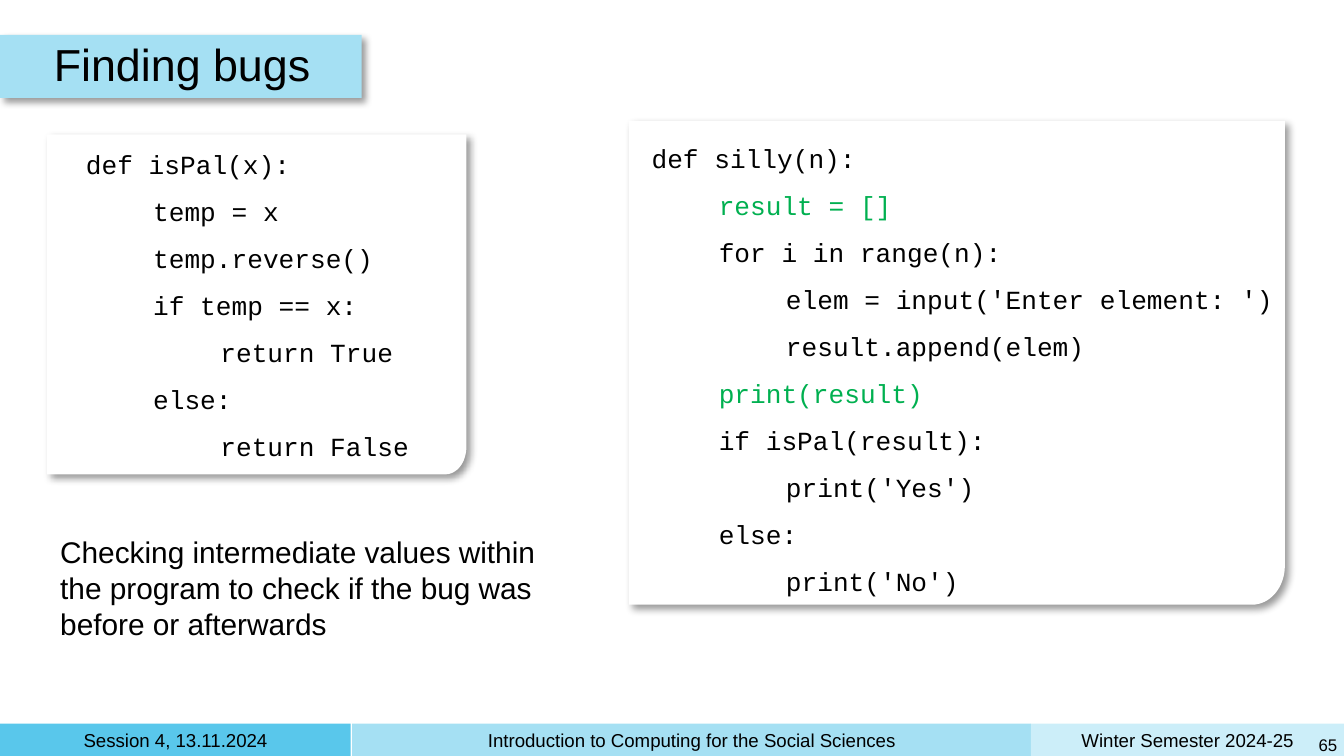
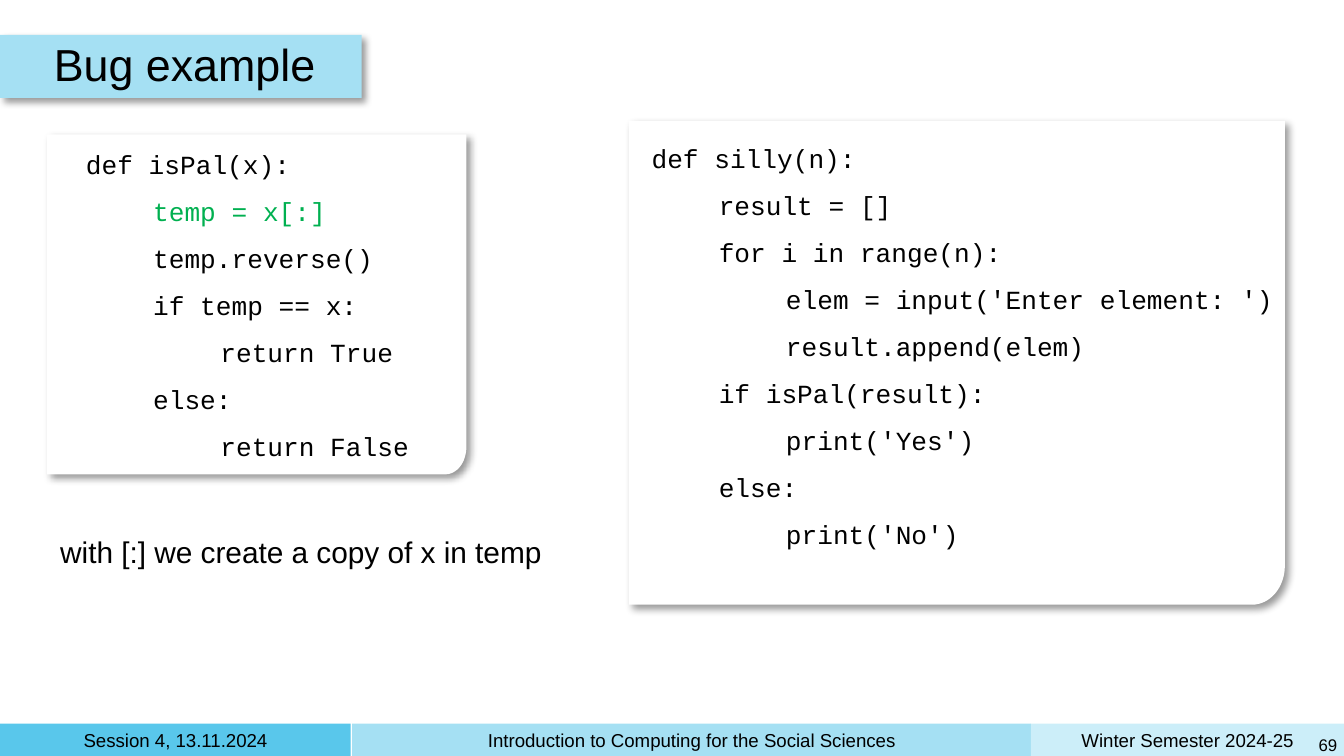
from dataclasses import dataclass
from math import cos, pi, sin
from typing import Any, NamedTuple

from lxml import etree
from pptx import Presentation
from pptx import util as u
from pptx.dml.color import RGBColor
from pptx.enum import shapes, text
from pptx.oxml import ns

COLS, ROWS = 100, 56.25
CELL = u.Inches(0.1)
HUES = {
    "ink": "000000",
    "paper": "FFFFFF",
    "mark": "00B050",
    "deep": "59C7EB",
    "mid": "A5E0F3",
    "pale": "CCEEF9",
}
SANS, MONO = "Arial", "Courier New"
ALIGN, ANCHOR, FIT = text.PP_ALIGN, text.MSO_ANCHOR, text.MSO_AUTO_SIZE


class Box(NamedTuple):
    left: float
    top: float
    width: float
    height: float

    def emu(self) -> list[int]:
        return [grid(side) for side in self]


@dataclass
class Style:
    size: float
    font: str = SANS
    align: Any = ALIGN.LEFT
    anchor: Any = ANCHOR.MIDDLE
    inset: float = 0.5
    pitch: float = 1.0
    fit: Any = FIT.NONE


@dataclass
class Line:
    words: str
    level: int = 0
    hue: str = "ink"


@dataclass
class Panel:
    card: Box
    left: float
    top: float
    width: float
    inset: float


@dataclass
class Page:
    title: str
    codes: tuple[str, str]
    marks: set[str]
    note: str
    rows: int
    number: int


FOOT = [
    ("Session 4, 13.11.2024", 0, 26.1, "deep"),
    ("Introduction to Computing for the Social Sciences", 26.2, 50.5, "mid"),
    ("Winter Semester 2024-25", 76.7, 23.3, "pale"),
]
PANELS = [
    Panel(Box(3.5, 10, 31.2, 25.3), 5.9, 9.4, 31.4, 0.5),
    Panel(Box(46.8, 9, 48.8, 36), 47.5, 8.4, 51, 1),
]
HEAD = Style(24, pitch=0.9)
BAR = Style(10, align=ALIGN.CENTER)
NUM = Style(9, align=ALIGN.RIGHT)
NOTE = Style(16, anchor=ANCHOR.TOP, inset=1, fit=FIT.SHAPE_TO_FIT_TEXT)

PAL = """def isPal(x):
    temp = {}
    temp.reverse()
    if temp == x:
        return True
    else:
        return False"""
SILLY = """def silly(n):
    result = []
    for i in range(n):
        elem = input('Enter element: ')
        result.append(elem){}
    if isPal(result):
        print('Yes')
    else:
        print('No')"""
PAGES = [
    Page(
        "Finding bugs",
        (PAL.format("x"), SILLY.format("\n    print(result)")),
        {"result = []", "print(result)"},
        "Checking intermediate values within the program to check if the bug "
        "was before or afterwards",
        3,
        65,
    ),
    Page(
        "Bug example",
        (PAL.format("x[:]"), SILLY.format("")),
        {"temp = x[:]"},
        "with [:] we create a copy of x in temp",
        1,
        69,
    ),
]


def grid(cells: float) -> int:
    return round(cells * CELL)


def tint(name: str) -> RGBColor:
    return RGBColor.from_string(HUES[name])


def apply(target: Any, values: dict[str, Any]) -> None:
    for name, value in values.items():
        setattr(target, name, value)


def write(shape: Any, lines: list[Line], style: Style) -> None:
    frame = shape.text_frame
    sides = ("left", "top", "right", "bottom")
    apply(frame, {f"margin_{side}": grid(style.inset) for side in sides})
    apply(frame, {
        "word_wrap": True,
        "auto_size": style.fit,
        "vertical_anchor": style.anchor,
    })
    for i, line in enumerate(lines):
        para = frame.add_paragraph() if i else frame.paragraphs[0]
        if line.level:
            para._p.get_or_add_pPr().set("marL", str(grid(5 * line.level)))
        apply(para, {"alignment": style.align, "line_spacing": style.pitch})
        run = para.add_run()
        run.text = line.words
        apply(run.font, {"name": style.font, "size": u.Pt(style.size)})
        run.font.color.rgb = tint(line.hue)


def label(slide: Any, box: Box, lines: list[Line], style: Style) -> None:
    write(slide.shapes.add_textbox(*box.emu()), lines, style)


def paint(shape: Any, hue: str) -> None:
    shape.fill.solid()
    shape.fill.fore_color.rgb = tint(hue)
    shape.line.fill.background()
    shape.shadow.inherit = False


def block(slide: Any, box: Box, hue: str) -> Any:
    shape = slide.shapes.add_shape(shapes.MSO_SHAPE.RECTANGLE, *box.emu())
    paint(shape, hue)
    return shape


def shade(shape: Any) -> None:
    effect = shape._element.spPr.find(ns.qn("a:effectLst"))
    cast = etree.SubElement(
        effect, ns.qn("a:outerShdw"), blurRad=str(u.Pt(4)), dist=str(u.Pt(3)),
        dir="2700000", algn="tl", rotWithShape="0",
    )
    color = etree.SubElement(cast, ns.qn("a:srgbClr"), val=HUES["ink"])
    etree.SubElement(color, ns.qn("a:alpha"), val="40000")


def card(slide: Any, box: Box) -> None:
    left, top, width, height = box.emu()
    right, base = left + width, top + height
    horiz, vert = 0.05 * width, 0.08 * height
    steps = 16
    turns = [pi / 2 * i / steps for i in range(steps + 1)]
    curve = [
        (right - horiz * (1 - cos(turn)), base - vert * (1 - sin(turn)))
        for turn in turns
    ]
    form = slide.shapes.build_freeform(left, top, scale=1.0)
    form.add_line_segments([(right, top), *curve, (left, base)], close=True)
    shape = form.convert_to_shape()
    paint(shape, "paper")
    shade(shape)


def code(slide: Any, panel: Panel, source: str, marks: set[str]) -> None:
    lines = []
    for raw in source.splitlines():
        words = raw.lstrip()
        level = (len(raw) - len(words)) // 4
        lines.append(Line(words, level, "mark" if words in marks else "ink"))
    card(slide, panel.card)
    height = 3.5 * len(lines) + 2.5 + 2 * panel.inset
    style = Style(14, MONO, ALIGN.JUSTIFY, ANCHOR.TOP, panel.inset, 1.5,
                  FIT.SHAPE_TO_FIT_TEXT)
    label(slide, Box(panel.left, panel.top, panel.width, height), lines, style)


def head(slide: Any, words: str) -> None:
    shade(block(slide, Box(0, 2.6, 26.9, 4.7), "mid"))
    title = slide.shapes.title
    spots = ("left", "top", "width", "height")
    apply(title, dict(zip(spots, Box(3.5, 2.6, 86, 4.7).emu())))
    write(title, [Line(words)], HEAD)
    slide.shapes._spTree.append(title._element)


def foot(slide: Any) -> None:
    for words, left, width, hue in FOOT:
        bar = block(slide, Box(left, ROWS - 2.4, width, 2.4), hue)
        write(bar, [Line(words)], BAR)


def build(deck: Any, page: Page) -> None:
    slide = deck.slides.add_slide(deck.slide_layouts[5])
    foot(slide)
    head(slide, page.title)
    for panel, source in zip(PANELS, page.codes):
        code(slide, panel, source, page.marks)
    tall = 2.7 * page.rows + 2
    label(slide, Box(3.5, 38.7, 40, tall), [Line(page.note)], NOTE)
    label(slide, Box(97.6, 54.2, 2.4, 2.5), [Line(str(page.number))], NUM)


def main() -> None:
    deck = Presentation()
    apply(deck, {"slide_width": grid(COLS), "slide_height": grid(ROWS)})
    for page in PAGES:
        build(deck, page)
    deck.save("out.pptx")


if __name__ == "__main__":
    main()
